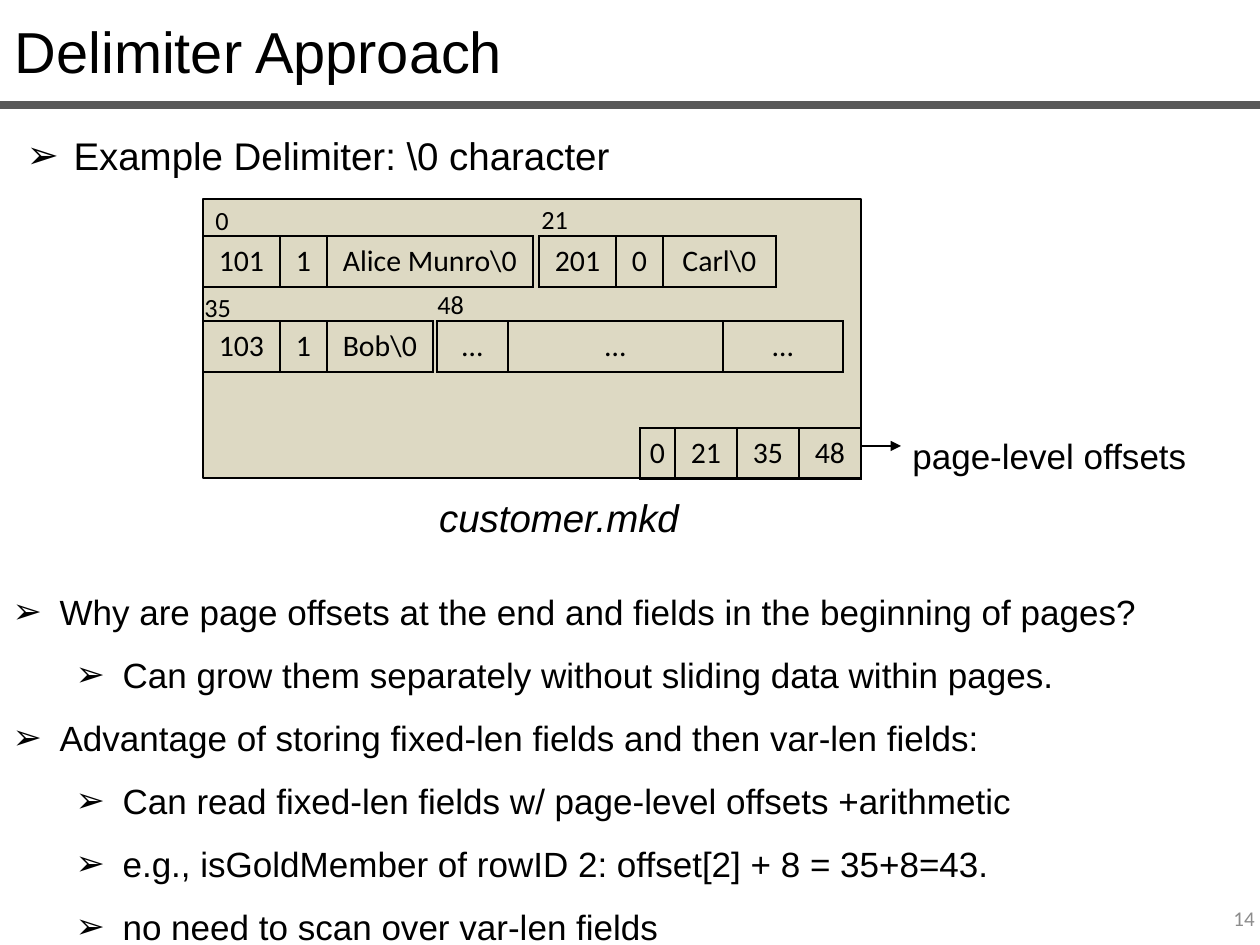
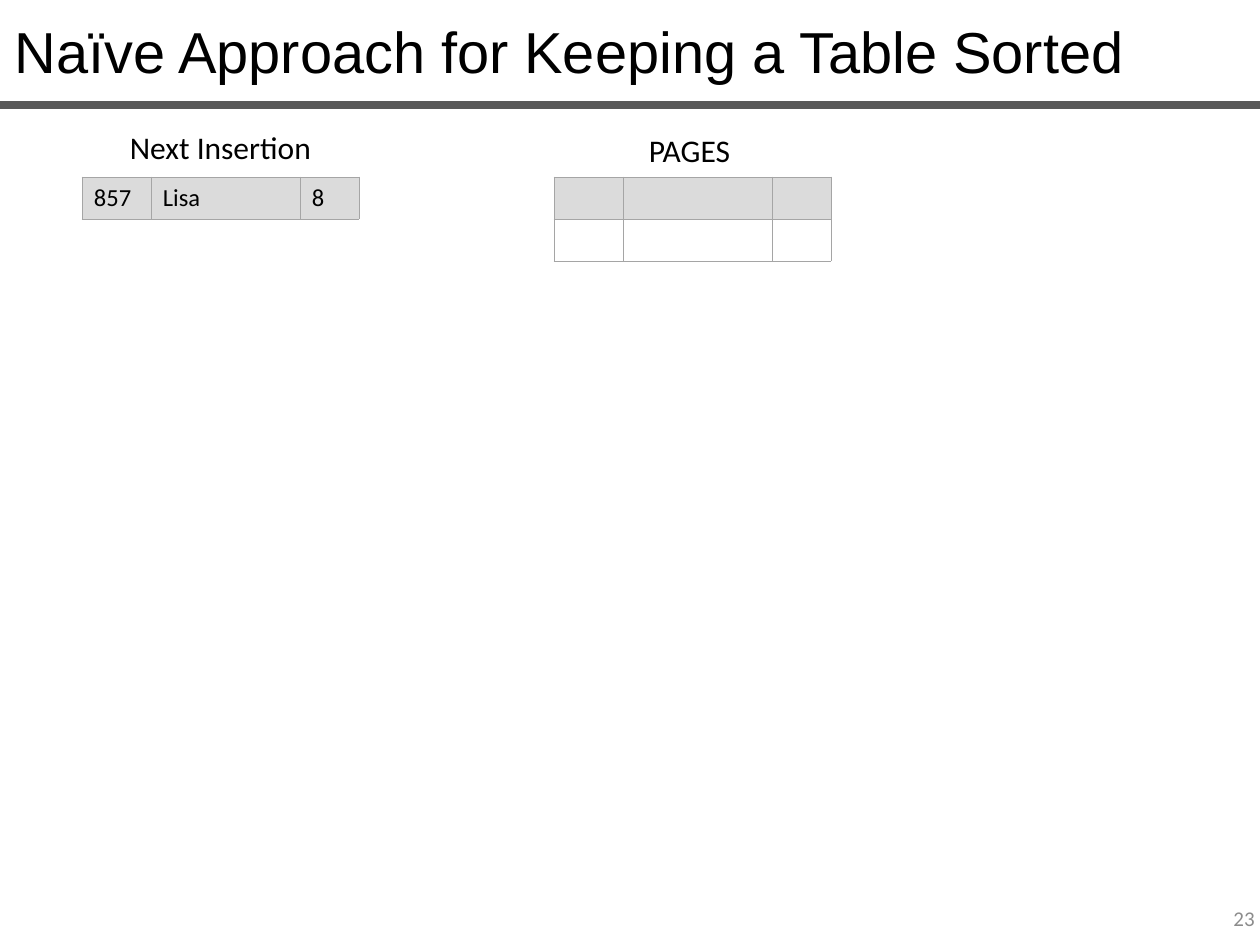
from typing import NamedTuple

from lxml.etree import SubElement
from pptx import Presentation
from pptx.dml.color import RGBColor
from pptx.enum.shapes import MSO_CONNECTOR, MSO_SHAPE
from pptx.enum.text import MSO_ANCHOR, MSO_AUTO_SIZE, PP_ALIGN
from pptx.oxml import parse_xml
from pptx.oxml.ns import nsdecls, qn
from pptx.util import Emu, Pt

BLACK = RGBColor(0x00, 0x00, 0x00)
RULE_GREY = RGBColor(0x59, 0x59, 0x59)
NUMBER_GREY = RGBColor(0x8C, 0x8C, 0x8C)
PAGE_TAN = RGBColor(0xDD, 0xD9, 0xC3)
GRID_GREY = RGBColor(0xA5, 0xA5, 0xA5)
ROW_GREY = RGBColor(0xDB, 0xDB, 0xDB)

HEADING_FONT = "Arial"
DATA_FONT = "Calibri"
EMU_PER_PX = 914400 / 126
TWO_CONTENT_LAYOUT, TITLE_ONLY_LAYOUT = 3, 5
BULLET_HANG = 47
LEVEL_INDENT = 63


class Box(NamedTuple):
    left: int
    top: int
    width: int
    height: int


class Label(NamedTuple):
    text: str
    box: Box


class Item(NamedTuple):
    text: str
    level: int = 0


class Grid(NamedTuple):
    left: int
    top: int
    columns: tuple[int, ...]
    rows: tuple[tuple[str, ...], ...]


class GridStyle(NamedTuple):
    row_height: int
    size: int
    align: PP_ALIGN
    border: RGBColor
    border_width: float
    margin: int
    first_row_fill: RGBColor | None = None


RECORD_STYLE = GridStyle(51, 17, PP_ALIGN.CENTER, BLACK, 1, 4)
SORTED_STYLE = GridStyle(42, 14, PP_ALIGN.LEFT, GRID_GREY, 0.5, 12, ROW_GREY)

# Records stored in the page, and the offsets at its end
PAGE = Box(203, 199, 658, 279)
FIRST_ROW, SECOND_ROW = 236, 321
RECORDS = (
    Grid(PAGE.left, FIRST_ROW, (77, 47, 206), (("101", "1", "Alice Munro\\0"),)),
    Grid(539, FIRST_ROW, (77, 47, 113), (("201", "0", "Carl\\0"),)),
    Grid(PAGE.left, SECOND_ROW, (77, 47, 106), (("103", "1", "Bob\\0"),)),
    Grid(437, SECOND_ROW, (71, 215, 120), (("…", "…", "…"),)),
    Grid(640, 428, (35, 62, 62, 62), (("0", "21", "35", "48"),)),
)
OFFSET_LABELS = (
    Label("0", Box(203, 198, 43, 44)),
    Label("21", Box(529, 197, 63, 44)),
    Label("35", Box(192, 285, 65, 44)),
    Label("48", Box(425, 282, 65, 44)),
)
EXAMPLE_ITEMS = (Item("Example Delimiter: \\0 character"),)
REASON_ITEMS = (
    Item("Why are page offsets at the end and fields in the beginning of pages?"),
    Item("Can grow them separately without sliding data within pages.", 1),
    Item("Advantage of storing fixed-len fields and then var-len fields:"),
    Item("Can read fixed-len fields w/ page-level offsets +arithmetic", 1),
    Item("e.g., isGoldMember of rowID 2: offset[2] + 8 = 35+8=43.", 1),
    Item("no need to scan over var-len fields", 1),
)

# Tables of the sorted insertion
SORTED_COLUMNS = (69, 149, 59)
SORTED_TOP = 177
SORTED_GRIDS = (
    Grid(82, SORTED_TOP, SORTED_COLUMNS, (("857", "Lisa", "8"),)),
    Grid(554, SORTED_TOP, SORTED_COLUMNS, (("", "", ""), ("", "", ""))),
)
SORTED_LABELS = (
    Label("Next Insertion", Box(82, 122, 277, 50)),
    Label("PAGES", Box(551, 125, 277, 50)),
)


def px(length: int) -> Emu:
    return Emu(round(length * EMU_PER_PX))


def place(shape, box: Box) -> None:
    shape.left, shape.top, shape.width, shape.height = map(px, box)


def write(paragraph, text: str, *, size: int, font: str = DATA_FONT,
          color: RGBColor = BLACK, italic: bool = False,
          align: PP_ALIGN = PP_ALIGN.LEFT, spacing: float = 1.0) -> None:
    paragraph.alignment = align
    paragraph.line_spacing = spacing
    paragraph.space_before = Pt(0)
    if not text:
        return
    run = paragraph.add_run()
    run.text = text
    run.font.name = font
    run.font.size = Pt(size)
    run.font.color.rgb = color
    run.font.italic = italic


def add_text(slide, label: Label, *, anchor: MSO_ANCHOR = MSO_ANCHOR.TOP,
             **text_format) -> None:
    text_frame = slide.shapes.add_textbox(*map(px, label.box)).text_frame
    text_frame.word_wrap = True
    text_frame.vertical_anchor = anchor
    write(text_frame.paragraphs[0], label.text, **text_format)


def fill_list(placeholder, box: Box, items: tuple[Item, ...], size: int) -> None:
    place(placeholder, box)
    text_frame = placeholder.text_frame
    text_frame.auto_size = MSO_AUTO_SIZE.NONE
    for index, item in enumerate(items):
        paragraph = text_frame.add_paragraph() if index else text_frame.paragraphs[0]
        paragraph.level = item.level
        properties = paragraph._p.get_or_add_pPr()
        properties.set("marL", str(px(BULLET_HANG + item.level * LEVEL_INDENT)))
        properties.set("indent", str(px(-BULLET_HANG)))
        SubElement(properties, qn("a:buFont")).set("typeface", HEADING_FONT)
        SubElement(properties, qn("a:buChar")).set("char", "➢")
        write(paragraph, item.text, size=size, font=HEADING_FONT, spacing=1.5)


def add_line(slide, start: tuple[int, int], end: tuple[int, int],
             color: RGBColor, width: float, arrow: bool = False) -> None:
    connector = slide.shapes.add_connector(
        MSO_CONNECTOR.STRAIGHT, *map(px, start + end))
    connector.line.color.rgb = color
    connector.line.width = Pt(width)
    if arrow:
        SubElement(connector.line._get_or_add_ln(), qn("a:tailEnd")).set("type", "triangle")
    SubElement(connector._element.spPr, qn("a:effectLst"))


def set_borders(cell, color: RGBColor, width: float) -> None:
    properties = cell._tc.get_or_add_tcPr()
    for index, side in enumerate("LRTB"):
        properties.insert(index, parse_xml(
            f'<a:ln{side} {nsdecls("a")} w="{Pt(width)}"><a:solidFill>'
            f'<a:srgbClr val="{color}"/></a:solidFill></a:ln{side}>'))


def add_grid(slide, grid: Grid, style: GridStyle) -> None:
    box = Box(grid.left, grid.top, sum(grid.columns),
              style.row_height * len(grid.rows))
    table = slide.shapes.add_table(
        len(grid.rows), len(grid.columns), *map(px, box)).table
    table.first_row = table.horz_banding = False
    for column, width in zip(table.columns, grid.columns):
        column.width = px(width)
    for row_index, texts in enumerate(grid.rows):
        table.rows[row_index].height = px(style.row_height)
        for column_index, text in enumerate(texts):
            cell = table.cell(row_index, column_index)
            cell.margin_left = cell.margin_right = px(style.margin)
            cell.margin_top = cell.margin_bottom = 0
            cell.vertical_anchor = MSO_ANCHOR.MIDDLE
            if style.first_row_fill and row_index == 0:
                cell.fill.solid()
                cell.fill.fore_color.rgb = style.first_row_fill
            else:
                cell.fill.background()
            set_borders(cell, style.border, style.border_width)
            write(cell.text_frame.paragraphs[0], text,
                  size=style.size, align=style.align)


def add_slide(presentation, layout: int, title: str, number: int):
    """Add a slide with the shared title, rule and page number."""
    slide = presentation.slides.add_slide(presentation.slide_layouts[layout])
    place(slide.shapes.title, Box(2, 9, 1257, 83))
    text_frame = slide.shapes.title.text_frame
    text_frame.auto_size = MSO_AUTO_SIZE.NONE
    text_frame.vertical_anchor = MSO_ANCHOR.TOP
    write(text_frame.paragraphs[0], title, size=33, font=HEADING_FONT)
    add_line(slide, (0, 105), (1260, 105), RULE_GREY, 4.5)
    add_text(slide, Label(str(number), Box(974, 893, 293, 50)), size=12,
             color=NUMBER_GREY, align=PP_ALIGN.RIGHT, anchor=MSO_ANCHOR.MIDDLE)
    return slide


def build_delimiter_slide(presentation) -> None:
    slide = add_slide(presentation, TWO_CONTENT_LAYOUT, "Delimiter Approach", 14)

    # Page with its records and offsets
    page = slide.shapes.add_shape(MSO_SHAPE.RECTANGLE, *map(px, PAGE))
    page.shadow.inherit = False
    page.fill.solid()
    page.fill.fore_color.rgb = PAGE_TAN
    page.line.color.rgb = BLACK
    page.line.width = Pt(0.75)
    for record in RECORDS:
        add_grid(slide, record, RECORD_STYLE)
    for label in OFFSET_LABELS:
        add_text(slide, label, size=15)

    # Captions
    add_text(slide, Label("customer.mkd", Box(217, 465, 684, 74)), size=22,
             font=HEADING_FONT, italic=True, align=PP_ALIGN.CENTER, spacing=1.5)
    add_line(slide, (862, 446), (901, 446), BLACK, 1.5, arrow=True)
    add_text(slide, Label("page-level offsets", Box(900, 407, 304, 68)), size=20,
             font=HEADING_FONT, spacing=1.5)

    # Lists
    fill_list(slide.placeholders[1], Box(14, 103, 712, 74), EXAMPLE_ITEMS, 22)
    fill_list(slide.placeholders[2], Box(0, 563, 1257, 382), REASON_ITEMS, 20)


def build_sorted_slide(presentation) -> None:
    slide = add_slide(presentation, TITLE_ONLY_LAYOUT,
                      "Naïve Approach for Keeping a Table Sorted", 23)
    for grid in SORTED_GRIDS:
        add_grid(slide, grid, SORTED_STYLE)
    for label in SORTED_LABELS:
        add_text(slide, label, size=18, align=PP_ALIGN.CENTER)


def main() -> None:
    presentation = Presentation()
    presentation.slide_width, presentation.slide_height = px(1260), px(945)
    build_delimiter_slide(presentation)
    build_sorted_slide(presentation)
    presentation.save("out.pptx")


if __name__ == "__main__":
    main()
